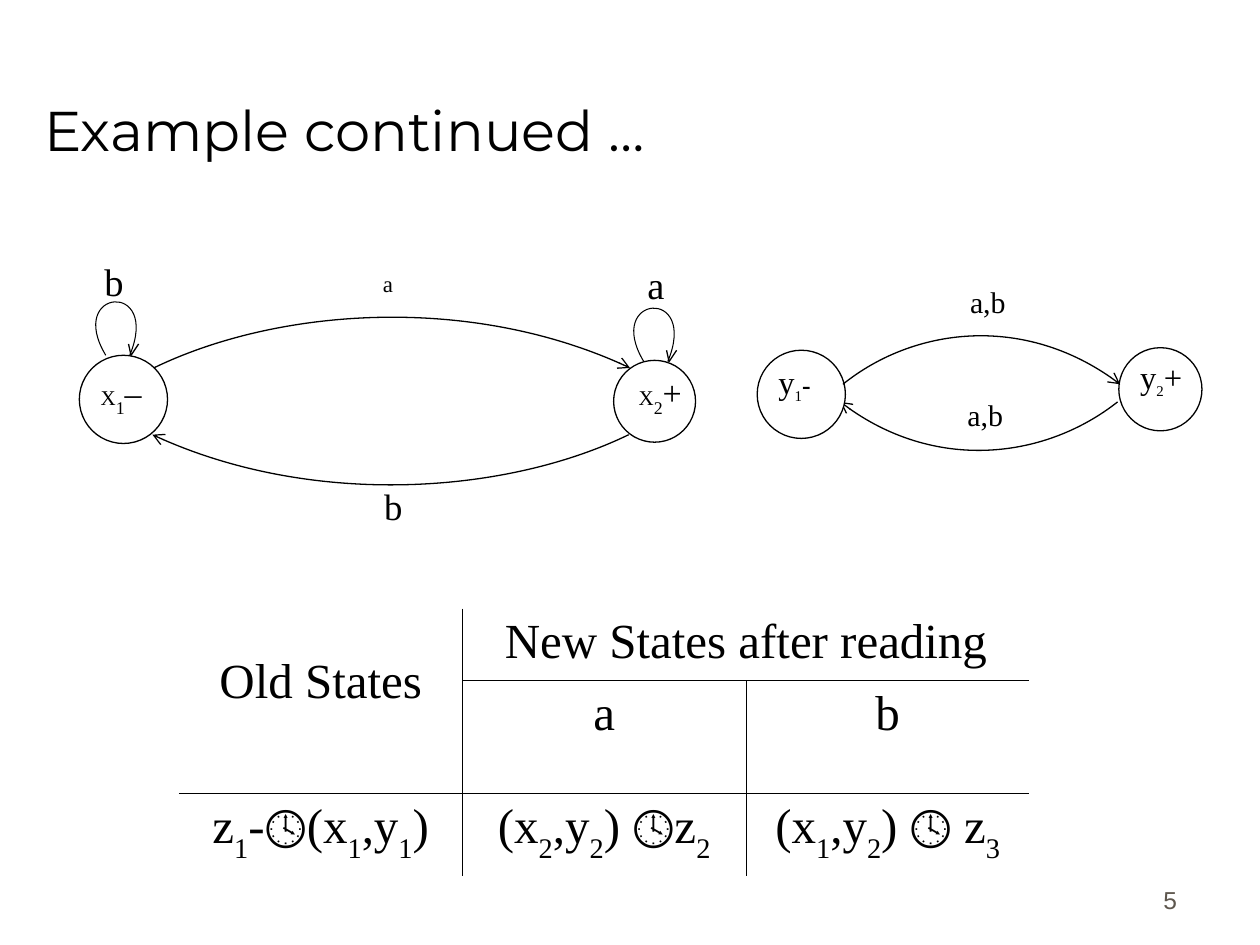
"""Build the slide that combines two automata and tabulates their joint states."""
from dataclasses import dataclass
from typing import Sequence

from lxml.etree import SubElement
from pptx import Presentation
from pptx.dml.color import RGBColor
from pptx.enum.text import MSO_ANCHOR, MSO_AUTO_SIZE, PP_ALIGN
from pptx.enum.shapes import MSO_SHAPE
from pptx.oxml.ns import qn
from pptx.util import Inches, Pt

BLACK = RGBColor(0x00, 0x00, 0x00)
WHITE = RGBColor(0xFF, 0xFF, 0xFF)
GREY = RGBColor(0x5E, 0x57, 0x4E)
SERIF = "Times New Roman"
COLUMNS, ROWS = 100, 75
CELL = Inches(10) // COLUMNS
Point = tuple[float, float]


@dataclass(frozen=True)
class Span:
    text: str
    size: float
    subscript: bool = False
    bold: bool = False


@dataclass(frozen=True)
class Label:
    column: float
    row: float
    width: float
    height: float
    spans: tuple[Span, ...]
    spacing: float = 1.0


@dataclass(frozen=True)
class State:
    column: float
    row: float
    diameter: float


@dataclass(frozen=True)
class Curve:
    points: tuple[Point, Point, Point, Point]
    weight: float = 0.75
    arrow: bool = True


DIAGRAM: tuple[State | Curve, ...] = (
    State(88.8, 27.6, 6.6),
    Curve(((88.7, 31.9), (83, 36.4), (73.9, 37.5), (66.7, 31.9))),
    State(60.1, 27.8, 7),
    Curve(((66.9, 30.5), (72.5, 26), (81.6, 24.9), (88.9, 30.5))),
    State(48.7, 28.6, 6.5),
    State(6.3, 28.2, 7),
    Curve(((12.2, 29.2), (21.9, 24.5), (37.5, 23.3), (50, 29.2))),
    Curve(((49.9, 34.5), (40.2, 39.2), (24.5, 40.3), (12.1, 34.5))),
)
LOOP_STARTS: tuple[Point, ...] = ((51.1, 28.7), (8.4, 28.2))
LOOP_OFFSETS: tuple[Point, ...] = ((0, 0), (-3.2, -5.3), (4.4, -6), (1.9, 0))
BARB_OFFSETS: tuple[Point, ...] = ((2.6, -0.9), (2, 0), (1.8, -0.9))

LABELS = (
    Label(76, 22.6, 10.1, 4.1, (Span("a,b", 17.1),), 0.8),
    Label(75.8, 31.5, 10.1, 4.1, (Span("a,b", 17.1),), 0.8),
    Label(60.8, 28.6, 8, 4.5,
          (Span("y", 18.6), Span("1", 14.7, True), Span("-", 14.7, bold=True)), 0.8),
    Label(89.5, 28.2, 8, 4.5,
          (Span("y", 18.6), Span("2", 14.7, True), Span("+", 18.6)), 0.8),
    Label(50.4, 20.2, 8.4, 5.6, (Span("a", 22),)),
    Label(7.3, 20, 8.4, 5.6, (Span("b", 22),)),
    Label(29.5, 37.9, 3.9, 4.6, (Span("b", 21),)),
    Label(29.4, 21.3, 3.3, 3.3, (Span("a", 13.1),), 0.8),
    Label(7, 29, 9.8, 5.3,
          (Span("X", 12), Span("1", 17.6, True), Span("–", 19.4)), 0.9),
    Label(49.7, 29, 9.8, 5.3,
          (Span("X", 12), Span("2", 17.6, True), Span("+", 19.4)), 0.9),
)

ROW_HEIGHTS = (5.7, 9, 6.5)
COLUMN_WIDTH = 22.5
TABLE_TEXT = (
    (("Old States",), ("New States after reading",), ()),
    ((), ("a",), ("b",)),
    (("z", "1", "-🕓(x", "1", ",y", "1", ")"),
     ("(x", "2", ",y", "2", ") 🕓z", "2"),
     ("(x", "1", ",y", "2", ") 🕓 z", "3")),
)


def grid(value: float) -> int:
    """Turn grid cells into slide units."""
    return round(value * CELL)


def write(para, spans: Sequence[Span], font: str = SERIF, color: RGBColor = BLACK) -> None:
    """Add each span to the paragraph as a formatted run."""
    for span in spans:
        run = para.add_run()
        run.text = span.text
        run.font.name = font
        run.font.size = Pt(span.size)
        run.font.bold = span.bold
        run.font.color.rgb = color
        if span.subscript:
            run._r.get_or_add_rPr().set("baseline", "-30000")


def add_label(page, label: Label):
    """Place a text box and return it."""
    box = page.shapes.add_textbox(*map(grid, (label.column, label.row, label.width, label.height)))
    box.text_frame.word_wrap = True
    para = box.text_frame.paragraphs[0]
    para.line_spacing = label.spacing
    write(para, label.spans)
    return box


def add_state(page, state: State) -> None:
    """Draw a state as a white circle."""
    circle = page.shapes.add_shape(
        MSO_SHAPE.OVAL, *map(grid, (state.column, state.row, state.diameter, state.diameter)))
    circle.shadow.inherit = False
    circle.fill.solid()
    circle.fill.fore_color.rgb = WHITE
    circle.line.color.rgb = BLACK
    circle.line.width = Pt(0.75)


def add_outline(page, points: Sequence[Point], weight: float):
    """Draw an open outline through the points and return it."""
    start, *rest = [(grid(column), grid(row)) for column, row in points]
    builder = page.shapes.build_freeform(*start)
    builder.add_line_segments(rest, close=False)
    outline = builder.convert_to_shape()
    outline.shadow.inherit = False
    outline.fill.background()
    outline.line.color.rgb = BLACK
    outline.line.width = Pt(weight)
    return outline


def add_curve(page, curve: Curve) -> None:
    """Draw a cubic curve, with an open arrowhead if wanted."""
    outline = add_outline(page, curve.points, curve.weight)
    route = outline._element.find(".//" + qn("a:path"))
    segments = route.findall(qn("a:lnTo"))
    bezier = SubElement(route, qn("a:cubicBezTo"))
    for segment in segments:
        bezier.append(segment[0])
        route.remove(segment)
    if curve.arrow:
        SubElement(outline.line._get_or_add_ln(), qn("a:tailEnd"), type="arrow")


def add_loop(page, start: Point) -> None:
    """Draw a self-transition that leaves a state at the start point."""
    def shift(offsets: Sequence[Point]) -> tuple[Point, ...]:
        return tuple((start[0] + across, start[1] + down) for across, down in offsets)

    add_curve(page, Curve(shift(LOOP_OFFSETS), 0.6, False))
    add_outline(page, shift(BARB_OFFSETS), 0.75)


def set_borders(cell, row: int, column: int) -> None:
    """Rule the inner edges of the table and leave the others bare."""
    edges = {
        "L": column > 0 and (row, column) != (0, 2),
        "R": column < 2 and (row, column) != (0, 1),
        "T": row > 0 and (row, column) != (1, 0),
        "B": row < 2,
    }
    properties = cell._tc.get_or_add_tcPr()
    for side, ruled in edges.items():
        line = SubElement(properties, qn(f"a:ln{side}"), w=str(Pt(0.45)))
        fill = SubElement(line, qn("a:solidFill" if ruled else "a:noFill"))
        if ruled:
            SubElement(fill, qn("a:srgbClr"), val=str(BLACK))
    cell.fill.background()


def add_state_table(page) -> None:
    """Add the table of old and new states."""
    table = page.shapes.add_table(
        3, 3, *map(grid, (14.2, 48.3, 3 * COLUMN_WIDTH, sum(ROW_HEIGHTS)))).table
    table.first_row = table.horz_banding = False
    for column in table.columns:
        column.width = grid(COLUMN_WIDTH)
    for row, height in zip(table.rows, ROW_HEIGHTS):
        row.height = grid(height)
    table.cell(0, 0).merge(table.cell(1, 0))
    table.cell(0, 1).merge(table.cell(0, 2))
    for row, entries in enumerate(TABLE_TEXT):
        for column, pieces in enumerate(entries):
            cell = table.cell(row, column)
            set_borders(cell, row, column)
            para = cell.text_frame.paragraphs[0]
            para.alignment = PP_ALIGN.CENTER
            write(para, [Span(piece, 28, index % 2 == 1) for index, piece in enumerate(pieces)])
    table.cell(0, 0).margin_top = grid(3.7)


def add_title(page) -> None:
    """Move and format the title placeholder."""
    title = page.shapes.title
    title.left, title.top, title.width, title.height = map(grid, (2.5, 0.9, 85, 12.5))
    title.text_frame.auto_size = MSO_AUTO_SIZE.NONE
    title.text_frame.vertical_anchor = MSO_ANCHOR.BOTTOM
    para = title.text_frame.paragraphs[0]
    para.alignment = PP_ALIGN.LEFT
    write(para, (Span("Example continued …", 32),), "Montserrat")


def add_page_number(page) -> None:
    """Put the page number at the lower right."""
    box = add_label(page, Label(73.6, 68.1, 20.8, 5, ()))
    box.text_frame.vertical_anchor = MSO_ANCHOR.BOTTOM
    para = box.text_frame.paragraphs[0]
    para.alignment = PP_ALIGN.RIGHT
    write(para, (Span("5", 14),), "Arial", GREY)


def main() -> None:
    """Build and save the deck."""
    deck = Presentation()
    deck.slide_width, deck.slide_height = grid(COLUMNS), grid(ROWS)
    page = deck.slides.add_slide(deck.slide_layouts[5])
    add_page_number(page)
    add_title(page)
    add_state_table(page)
    for part in DIAGRAM:
        if isinstance(part, State):
            add_state(page, part)
        else:
            add_curve(page, part)
    for start in LOOP_STARTS:
        add_loop(page, start)
    for label in LABELS:
        add_label(page, label)
    deck.save("out.pptx")


if __name__ == "__main__":
    main()
